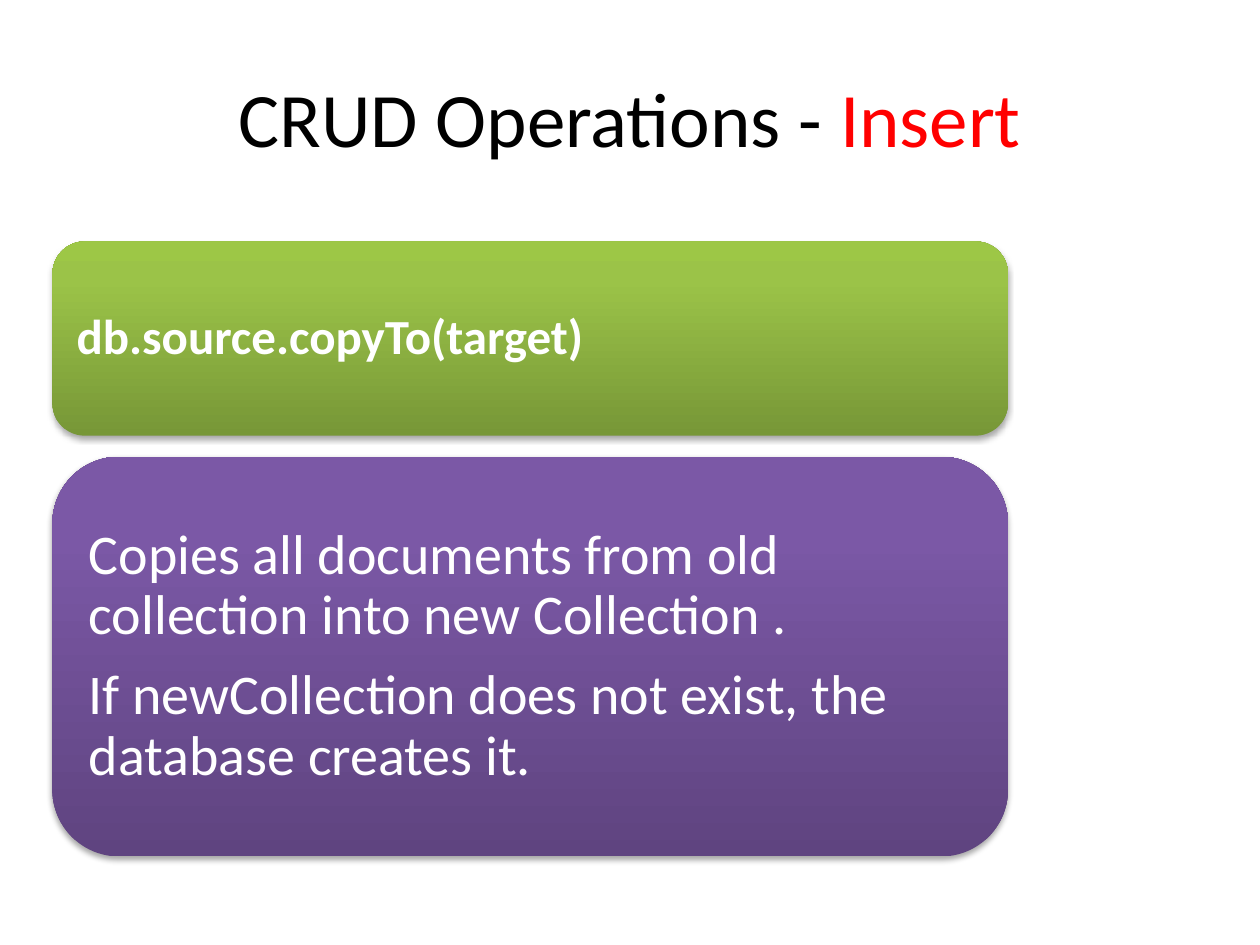
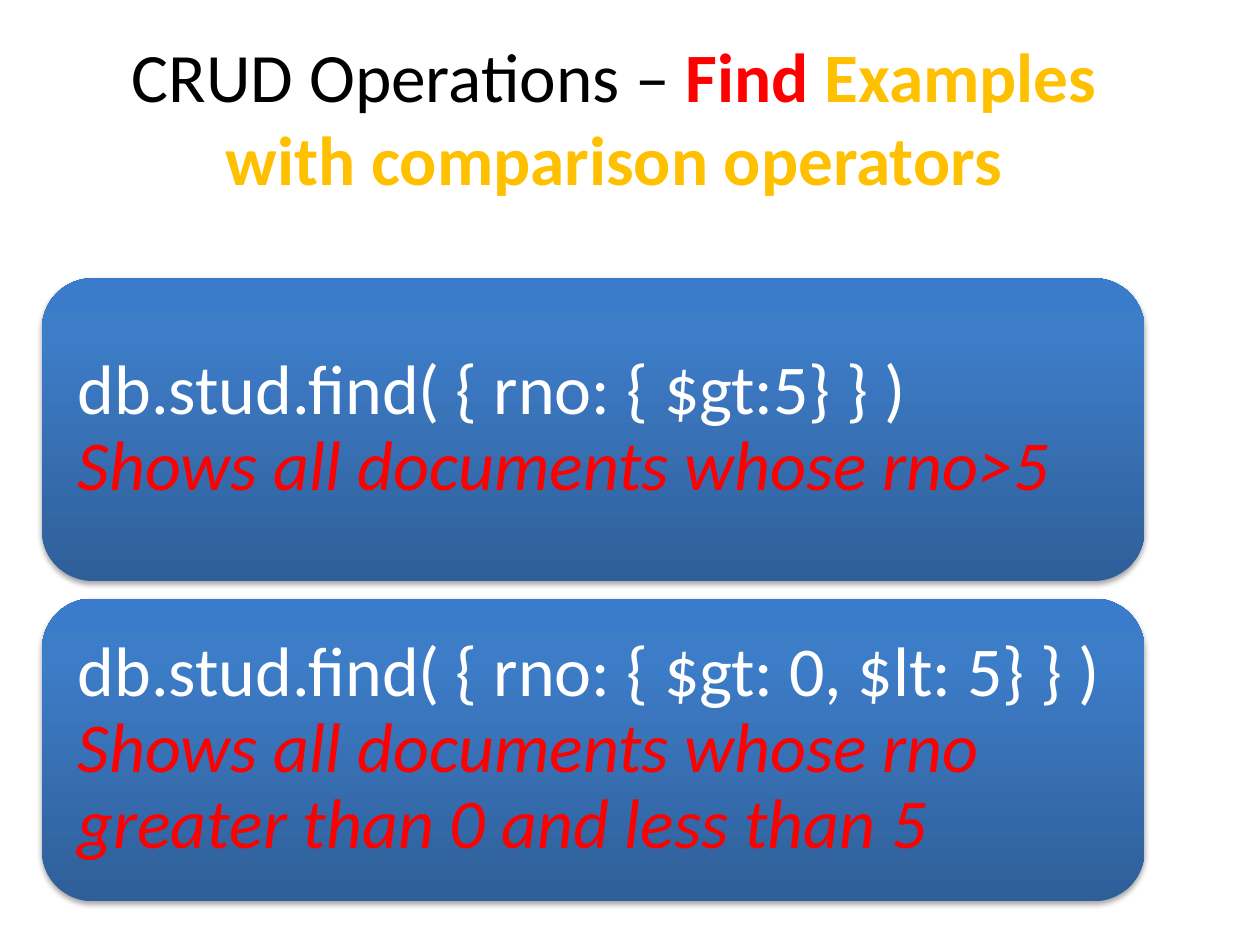
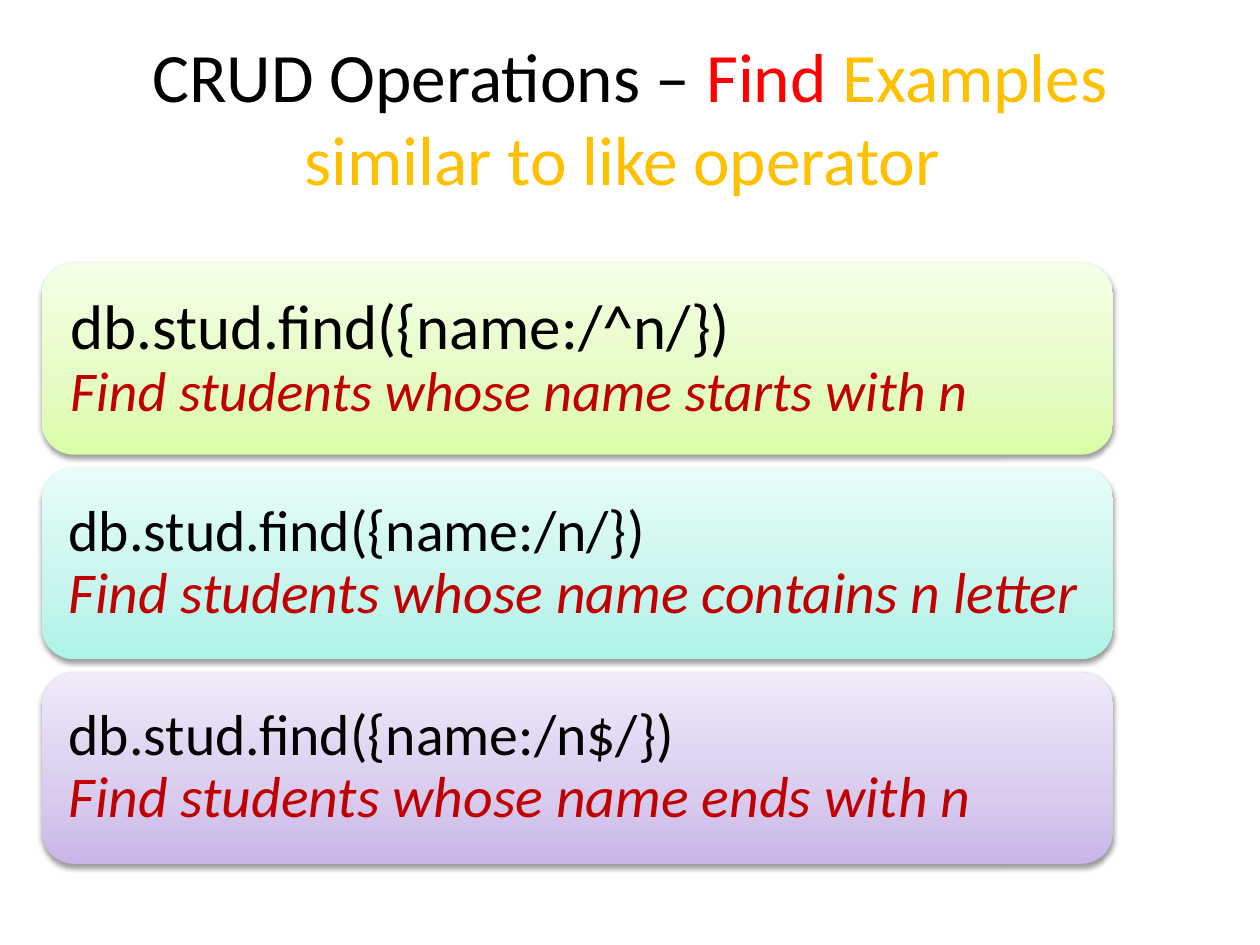
"""Build three slides on CRUD operations: a title above a stack of rounded cards."""
import dataclasses

import lxml.etree
import pptx
import pptx.dml.color
import pptx.enum.shapes
import pptx.enum.text
import pptx.oxml.ns
import pptx.util

Pt = pptx.util.Pt
qn = pptx.oxml.ns.qn


@dataclasses.dataclass(frozen=True)
class Shadow:
    """Soft shadow below a card, in points and percent."""
    distance: float
    opacity: int
    blur: float = 3.15


@dataclasses.dataclass(frozen=True)
class Theme:
    """Colours, type sizes and card styles shared by the slides."""
    font: str = "Calibri"
    black: str = "000000"
    white: str = "FFFFFF"
    red: str = "FF0000"
    dark_red: str = "C00000"
    amber: str = "FFC000"
    title: float = 44
    long_title: float = 39.6
    code: float = 28
    body: float = 32
    example: float = 40
    first_pattern: float = 36
    pattern: float = 33
    line_spacing: float = 0.9
    paragraph_gap: float = 0.35
    inset: float = 0.3
    strong_stops: tuple = (0, 0.8, 1)
    pale_stops: tuple = (0, 0.35, 1)
    green: tuple = ("779737", "9BC348", "9DC746")
    purple: tuple = ("5F4480", "7B58A6", "7C57A8")
    blue: tuple = ("2F5F99", "3D7CC7", "3A7CCB")
    pale_green: tuple = ("DAFDA7", "E4FCC2", "F5FFE7")
    pale_teal: tuple = ("AEF3E9", "C6F5EE", "E8FCF9")
    pale_purple: tuple = ("C9B5E8", "D8CBEE", "F0EAF9")
    strong_shadow: Shadow = Shadow(1.8, 35)
    pale_shadow: Shadow = Shadow(1.6, 38)


THEME = Theme()


@dataclasses.dataclass(frozen=True)
class Box:
    """Area on a page, in points."""
    left: float
    top: float
    width: float
    height: float

    def lengths(self):
        """Return position and size as slide lengths."""
        return [Pt(value) for value in dataclasses.astuple(self)]

    def rows(self, count, gap):
        """Split the box into equal rows with a gap between them."""
        height = (self.height - gap * (count - 1)) / count
        return [Box(self.left, self.top + row * (height + gap), self.width, height)
                for row in range(count)]


@dataclasses.dataclass(frozen=True)
class CardStyle:
    """Gradient and shadow of a card."""
    colors: tuple
    stops: tuple
    shadow: Shadow


def strong(colors):
    """Return the style of a saturated card."""
    return CardStyle(colors, THEME.strong_stops, THEME.strong_shadow)


def pale(colors):
    """Return the style of a light card."""
    return CardStyle(colors, THEME.pale_stops, THEME.pale_shadow)


def add_span(para, text, size, color, bold=False, italic=False):
    """Append formatted text to a paragraph."""
    span = para.add_run()
    span.text = text
    span.font.name = THEME.font
    span.font.size = Pt(size)
    span.font.bold = bold
    span.font.italic = italic
    span.font.color.rgb = pptx.dml.color.RGBColor.from_string(color)


def add_title(page, box, size, spans, bold=False):
    """Write a centred title whose first span is always regular."""
    frame = page.shapes.add_textbox(*box.lengths()).text_frame
    frame.word_wrap = True
    frame.vertical_anchor = pptx.enum.text.MSO_ANCHOR.MIDDLE
    para = frame.paragraphs[0]
    para.alignment = pptx.enum.text.PP_ALIGN.CENTER
    for index, (text, color) in enumerate(spans):
        add_span(para, text, size, color, bold=bold and index > 0)


def paint_gradient(shape, style):
    """Fill a shape with a gradient that runs from bottom to top."""
    shape.fill.gradient()
    shape.fill.gradient_angle = 90
    stop_list = shape._element.spPr.find(qn("a:gradFill")).find(qn("a:gsLst"))
    lxml.etree.SubElement(stop_list, qn("a:gs"), pos="0")
    for stop, position, color in zip(shape.fill.gradient_stops, style.stops, style.colors):
        stop.position = position
        stop.color.rgb = pptx.dml.color.RGBColor.from_string(color)


def cast_shadow(shape, shadow):
    """Give a shape a downward shadow."""
    shape.shadow.inherit = False
    effects = shape._element.spPr.find(qn("a:effectLst"))
    outer = lxml.etree.SubElement(
        effects, qn("a:outerShdw"), blurRad=str(Pt(shadow.blur)),
        dist=str(Pt(shadow.distance)), dir="5400000", rotWithShape="0")
    color = lxml.etree.SubElement(outer, qn("a:srgbClr"), val=THEME.black)
    lxml.etree.SubElement(color, qn("a:alpha"), val=str(shadow.opacity * 1000))


def add_card(page, box, style, size):
    """Draw a rounded card and return its text frame."""
    shape = page.shapes.add_shape(
        pptx.enum.shapes.MSO_SHAPE.ROUNDED_RECTANGLE, *box.lengths())
    paint_gradient(shape, style)
    shape.line.fill.background()
    cast_shadow(shape, style.shadow)
    frame = shape.text_frame
    frame.word_wrap = True
    frame.vertical_anchor = pptx.enum.text.MSO_ANCHOR.MIDDLE
    inset = Pt(size * THEME.inset)
    frame.margin_left = frame.margin_right = inset
    frame.margin_top = frame.margin_bottom = inset
    return frame


def style_card_para(para):
    """Set the alignment and line spacing of card text."""
    para.alignment = pptx.enum.text.PP_ALIGN.LEFT
    para.line_spacing = THEME.line_spacing


def add_statement_card(page, box, style, size, texts, bold=False):
    """Draw a card with one white paragraph for each text."""
    frame = add_card(page, box, style, size)
    for index, text in enumerate(texts):
        para = frame.add_paragraph() if index else frame.paragraphs[0]
        style_card_para(para)
        if index:
            para.space_before = Pt(size * THEME.paragraph_gap)
        add_span(para, text, size, THEME.white, bold=bold)


def add_query_card(page, box, style, query, meaning, size, colors, meaning_size=None):
    """Draw a card with a query and its meaning in italics below."""
    para = add_card(page, box, style, size).paragraphs[0]
    style_card_para(para)
    add_span(para, query, size, colors[0])
    para.add_line_break()
    add_span(para, meaning, meaning_size or size, colors[1], italic=True)


def build_insert(page):
    """Show how a collection is copied."""
    add_title(page, Box(36, 21.6, 648, 90), THEME.title,
              [("CRUD Operations - ", THEME.black), ("Insert", THEME.red)])
    add_statement_card(page, Box(30, 138, 546, 111), strong(THEME.green), THEME.code,
                       ["db.source.copyTo(target)"], bold=True)
    add_statement_card(page, Box(30, 261, 546, 228.4), strong(THEME.purple), THEME.body,
                       ["Copies all documents from old collection into new Collection .",
                        "If newCollection does not exist, the database creates it."])


def build_comparison(page):
    """Show queries with comparison operators."""
    add_title(page, Box(36, 21.6, 630, 90), THEME.long_title,
              [("CRUD Operations – ", THEME.black), ("Find ", THEME.red),
               ("Examples with comparison operators", THEME.amber)], bold=True)
    queries = [
        ("db.stud.find( { rno: { $gt:5} } )", "Shows all documents whose rno>5"),
        ("db.stud.find( { rno: { $gt: 0, $lt: 5} } )",
         "Shows all documents whose rno greater than 0 and less than 5"),
    ]
    rows = Box(24, 159, 630, 356).rows(len(queries), gap=10)
    for row, (query, meaning) in zip(rows, queries):
        add_query_card(page, row, strong(THEME.blue), query, meaning, THEME.example,
                       (THEME.white, THEME.red))


def build_like(page):
    """Show queries that match a pattern."""
    add_title(page, Box(36, 21.6, 648, 90), THEME.long_title,
              [("CRUD Operations – ", THEME.black), ("Find ", THEME.red),
               ("Examples similar to like operator ", THEME.amber)])
    queries = [
        (THEME.pale_green, "db.stud.find({name:/^n/})",
         "Find students whose name starts with n", THEME.first_pattern, THEME.body),
        (THEME.pale_teal, "db.stud.find({name:/n/})",
         "Find students whose name contains n letter", THEME.pattern, THEME.pattern),
        (THEME.pale_purple, "db.stud.find({name:/n$/})",
         "Find students whose name ends with n", THEME.pattern, THEME.pattern),
    ]
    rows = Box(24, 150.4, 612, 343.2).rows(len(queries), gap=7.5)
    for row, (colors, query, meaning, size, meaning_size) in zip(rows, queries):
        add_query_card(page, row, pale(colors), query, meaning, size,
                       (THEME.black, THEME.dark_red), meaning_size)


def main():
    """Build and save the deck."""
    deck = pptx.Presentation()
    deck.slide_width, deck.slide_height = Pt(720), Pt(540)
    for build in (build_insert, build_comparison, build_like):
        build(deck.slides.add_slide(deck.slide_layouts[6]))
    deck.save("out.pptx")


if __name__ == "__main__":
    main()
